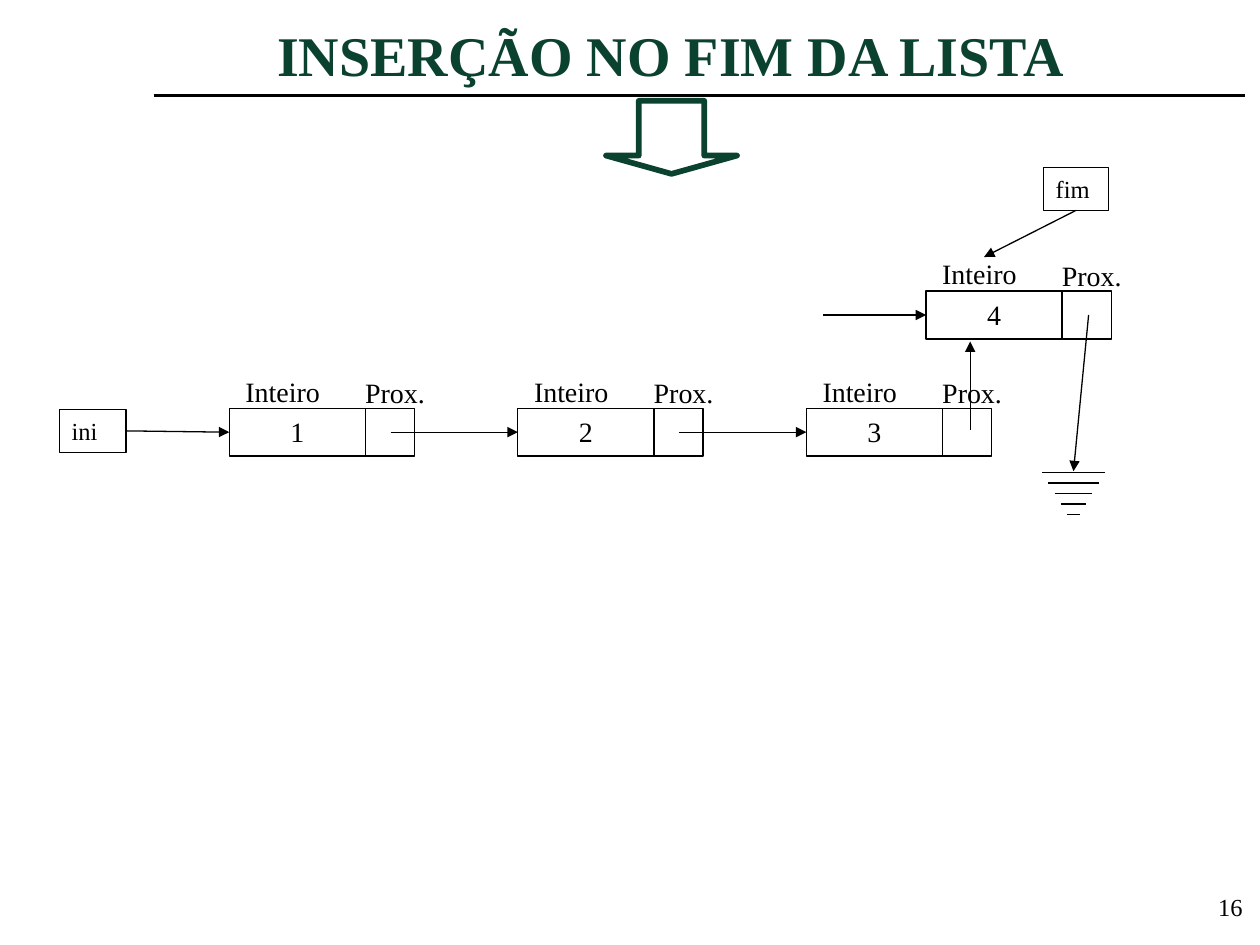
from lxml.etree import SubElement
from pptx import Presentation
from pptx.dml.color import RGBColor
from pptx.enum.shapes import MSO_CONNECTOR, MSO_SHAPE
from pptx.enum.text import MSO_ANCHOR, PP_ALIGN
from pptx.oxml.ns import qn
from pptx.util import Inches, Pt

FONT = "Times New Roman"
GREEN = "0B422F"
BLACK = "000000"
NODE_LEFT, NODE_TOP, NODE_STEP = 1.82, 3.24, 2.29
VALUE_WIDTH, POINTER_WIDTH, NODE_HEIGHT = 1.08, 0.39, 0.38
TOP, LEFT, BOTTOM, RIGHT = 0, 1, 2, 3


def color(value):
    """Turn a hex string into a colour."""
    return RGBColor.from_string(value)


def write(shape, text, size=16, ink=BLACK, bold=False, align=PP_ALIGN.LEFT, indent=0):
    """Put one formatted paragraph at the top of a shape."""
    frame = shape.text_frame
    frame.word_wrap = True
    frame.vertical_anchor = MSO_ANCHOR.TOP
    frame.margin_left = Inches(0.1 + indent)
    frame.margin_right = Inches(0.1)
    frame.margin_top = frame.margin_bottom = Inches(0.05)
    paragraph = frame.paragraphs[0]
    paragraph.text = text
    paragraph.alignment = align
    paragraph.space_before = Pt(0)
    paragraph.font.name = FONT
    paragraph.font.size = Pt(size)
    paragraph.font.bold = bold
    paragraph.font.color.rgb = color(ink)


def add_label(slide, box, text, **style):
    """Add a text box without outline."""
    write(slide.shapes.add_textbox(*map(Inches, box)), text, **style)


def add_outline(slide, box, text=None, kind=MSO_SHAPE.RECTANGLE, ink=BLACK, weight=0.75, **style):
    """Add an unfilled preset shape, with text if given."""
    shape = slide.shapes.add_shape(kind, *map(Inches, box))
    shape.shadow.inherit = False
    shape.fill.background()
    shape.line.color.rgb = color(ink)
    shape.line.width = Pt(weight)
    if text:
        write(shape, text, **style)
    return shape


def add_line(slide, start, end, weight=0.75, arrow=False, source=None, target=None):
    """Add a straight line, with an arrowhead and joined ends if asked."""
    line = slide.shapes.add_connector(MSO_CONNECTOR.STRAIGHT, *map(Inches, (*start, *end)))
    if source:
        line.begin_connect(*source)
    if target:
        line.end_connect(*target)
    line.line.color.rgb = color(BLACK)
    line.line.width = Pt(weight)
    properties = line._element.spPr
    if arrow:
        SubElement(properties.find(qn("a:ln")), qn("a:tailEnd"), type="triangle")
    SubElement(properties, qn("a:effectLst"))


def add_node(slide, left, top, value):
    """Draw a list node and return its value cell."""
    cell = add_outline(slide, (left, top, VALUE_WIDTH, NODE_HEIGHT), value, align=PP_ALIGN.CENTER)
    add_outline(slide, (left + VALUE_WIDTH, top, POINTER_WIDTH, NODE_HEIGHT))
    add_label(slide, (left + 0.03, top - 0.32, 1.06, 0.37), "Inteiro")
    add_label(slide, (left + 0.98, top - 0.31, 0.73, 0.37), "Prox.")
    return cell


def add_ground(slide, center, top):
    """Draw the ground symbol that ends the list."""
    for row in range(5):
        half = 0.25 - 0.05 * row
        height = top + row / 12
        add_line(slide, (center - half, height), (center + half, height))


def add_heading(slide):
    """Place the title, its rule and the arrow below it."""
    title = slide.shapes.title
    title.left, title.top, title.width, title.height = map(Inches, (1.66, 0.11, 8.34, 0.64))
    write(title, "INSERÇÃO NO FIM DA LISTA", size=32, ink=GREEN, bold=True, indent=0.44)
    add_line(slide, (1.22, 0.76), (9.88, 0.76), weight=1.5)
    arrow = add_outline(slide, (4.81, 0.8, 1.04, 0.58), kind=MSO_SHAPE.DOWN_ARROW, ink=GREEN, weight=3.25)
    arrow.adjustments[0] = 0.5
    arrow.adjustments[1] = 0.25


def main():
    """Build and save the slide."""
    presentation = Presentation()
    presentation.slide_width, presentation.slide_height = Inches(10), Inches(7.5)
    slide = presentation.slides.add_slide(presentation.slide_layouts[5])
    add_heading(slide)

    cells = [add_node(slide, NODE_LEFT + NODE_STEP * column, NODE_TOP, str(column + 1))
             for column in range(3)]
    new_cell = add_node(slide, 7.35, 2.31, "4")
    first = add_outline(slide, (0.47, 3.25, 0.53, 0.34), "ini", size=14)
    last = add_outline(slide, (8.28, 1.33, 0.52, 0.34), "fim", size=14)

    middle = NODE_TOP + NODE_HEIGHT / 2
    add_line(slide, (1, middle), (NODE_LEFT, middle), arrow=True,
             source=(first, RIGHT), target=(cells[0], LEFT))
    for column, cell in enumerate(cells[1:]):
        left = NODE_LEFT + NODE_STEP * column
        add_line(slide, (left + 1.28, middle), (left + NODE_STEP, middle),
                 arrow=True, target=(cell, LEFT))
    add_line(slide, (6.53, 2.5), (7.35, 2.5), arrow=True, target=(new_cell, LEFT))
    add_line(slide, (8.54, 1.67), (7.81, 2.04), arrow=True, source=(last, BOTTOM))
    add_line(slide, (7.7, 3.41), (7.7, 2.71), arrow=True)
    add_line(slide, (8.64, 2.5), (8.52, 3.74), arrow=True)
    add_ground(slide, 8.52, 3.75)
    add_label(slide, (7.88, 7.03, 2.08, 0.47), "16", size=14, align=PP_ALIGN.RIGHT)
    presentation.save("out.pptx")


if __name__ == "__main__":
    main()
